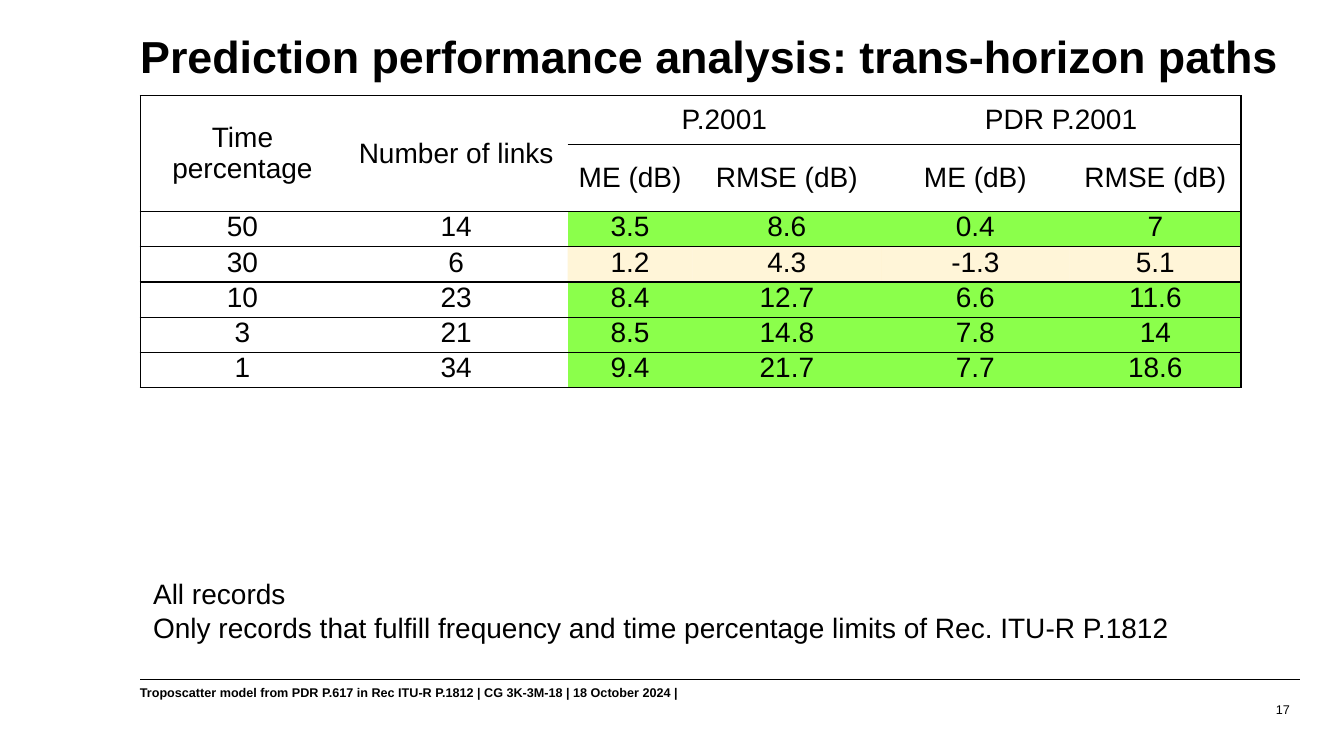
from pptx import Presentation
from pptx.dml.color import RGBColor
from pptx.enum.shapes import MSO_CONNECTOR as Conn
from pptx.enum.text import MSO_ANCHOR as Anchor, PP_ALIGN as Align
from pptx.oxml.ns import qn
from pptx.util import Inches, Pt
from lxml.etree import SubElement as Sub

INK, PAPER, GREEN, CREAM = "000000", "FFFFFF", "8BFF4B", "FFEBAB"
WIDTHS = [2.03, 2.21, 1.24, 1.87, 1.87, 1.7]
HEADS = [
    ["Time percentage", "Number of links", "P.2001", "", "PDR P.2001", ""],
    ["", "", "ME (dB)", "RMSE (dB)", "ME (dB)", "RMSE (dB)"],
]
DATA = [
    ["50", "14", "3.5", "8.6", "0.4", "7"],
    ["30", "6", "1.2", "4.3", "-1.3", "5.1"],
    ["10", "23", "8.4", "12.7", "6.6", "11.6"],
    ["3", "21", "8.5", "14.8", "7.8", "14"],
    ["1", "34", "9.4", "21.7", "7.7", "18.6"],
]
MERGES = [(0, 0, 1, 0), (0, 1, 1, 1), (0, 2, 0, 3), (0, 4, 0, 5)]


def paint(target, color):
    """Give a font, line or fill its colour."""
    target.rgb = RGBColor.from_string(color)


def write(para, text, size, bold=False):
    """Add one run to a paragraph."""
    run = para.add_run()
    run.text = text
    run.font.name, run.font.size, run.font.bold = "Arial", Pt(size), bold
    paint(run.font.color, INK)


def place(shape, box):
    """Move a shape to its box in inches."""
    shape.left, shape.top, shape.width, shape.height = map(Inches, box)


def label(slide, box, lines, size, bold=False, wrap=True,
          align=Align.LEFT, anchor=Anchor.TOP):
    """Place a text box with one paragraph per line."""
    frame = slide.shapes.add_textbox(*map(Inches, box)).text_frame
    frame.word_wrap, frame.vertical_anchor = wrap, anchor
    for i, text in enumerate(lines):
        para = frame.add_paragraph() if i else frame.paragraphs[0]
        para.alignment = align
        write(para, text, size, bold)


def title(slide, box, text):
    """Fill the title placeholder."""
    shape = slide.shapes.title
    place(shape, box)
    frame = shape.text_frame
    frame.word_wrap, frame.vertical_anchor = True, Anchor.TOP
    para = frame.paragraphs[0]
    para.alignment, para.line_spacing = Align.LEFT, 0.9
    write(para, text, 32, True)


def border(cell, edges):
    """Rule the named edges of a cell and clear the others."""
    props = cell._tc.get_or_add_tcPr()
    for edge in "LRTB":
        line = Sub(props, qn(f"a:ln{edge}"), w=str(Pt(1)))
        if edge in edges:
            fill = Sub(line, qn("a:solidFill"))
            Sub(fill, qn("a:srgbClr"), val=INK)
        else:
            Sub(line, qn("a:noFill"))


def shade(cell, color):
    """Fill a cell, with the cream partly clear."""
    cell.fill.solid()
    paint(cell.fill.fore_color, color)
    if color == CREAM:
        tone = cell._tc.tcPr.find(f".//{qn('a:solidFill')}/{qn('a:srgbClr')}[@val='{CREAM}']")
        Sub(tone, qn("a:alpha"), val="46000")


def results(slide, box):
    """Draw the table of mean and RMS errors."""
    rows = HEADS + DATA
    grid = slide.shapes.add_table(len(rows), len(WIDTHS), *map(Inches, box)).table
    grid.first_row = grid.horz_banding = False
    for col, width in zip(grid.columns, WIDTHS):
        col.width = Inches(width)
    for r, row in enumerate(rows):
        head = r < len(HEADS)
        grid.rows[r].height = Inches(0.48 if head else 0.35)
        for c, text in enumerate(row):
            cell = grid.cell(r, c)
            cell.margin_left = cell.margin_right = Inches(0.07)
            cell.margin_top = cell.margin_bottom = 0
            cell.vertical_anchor = Anchor.MIDDLE if head else Anchor.TOP
            edges = "B" if r == 1 and c < 2 else "TB"
            edges += {0: "L", len(row) - 1: "R"}.get(c, "")
            if r == 0 and c == 4:
                edges += "R"
            border(cell, edges)
            tint = CREAM if row[0] == "30" else GREEN
            shade(cell, PAPER if head or c < 2 else tint)
            if text:
                para = cell.text_frame.paragraphs[0]
                para.alignment = Align.CENTER
                para.space_before = para.space_after = Pt(4 if head else 2)
                write(para, text, 20)
    for top, left, low, right in MERGES:
        grid.cell(top, left).merge(grid.cell(low, right))


def footer(slide, box, text, number):
    """Draw the rule, the footer text and the page number."""
    x, y, w, h = box
    rule = slide.shapes.add_connector(
        Conn.STRAIGHT, *map(Inches, (x + 0.1, y, x + w, y)))
    rule.line.width = Pt(0.5)
    paint(rule.line.color, INK)
    Sub(rule._element.spPr, qn("a:effectLst"))
    label(slide, (x, y + 0.01, 7.53, 0.25), [text], 9, bold=True)
    label(slide, (x + w - 2.92, y + 0.02, 2.92, h - 0.02), [number], 9,
          align=Align.RIGHT, anchor=Anchor.BOTTOM)


def main():
    """Build the slide and save it."""
    deck = Presentation()
    deck.slide_width, deck.slide_height = Inches(13.33), Inches(7.5)
    slide = deck.slides.add_slide(deck.slide_layouts[5])
    title(slide, (1.29, 0.29, 11.6, 0.96),
          "Prediction performance analysis: trans-horizon paths")
    footer(slide, (1.29, 6.74, 11.6, 0.42),
           "Troposcatter model from PDR P.617 in Rec ITU-R P.1812 | CG 3K-3M-18 | 18 October 2024 |", "17")
    label(slide, (1.42, 5.67, 10.43, 0.77),
          ["All records",
           "Only records that fulfill frequency and time percentage limits of Rec. ITU-R P.1812"],
          20, wrap=False)
    results(slide, (1.39, 0.95, 10.92, 2.71))
    deck.save("out.pptx")


if __name__ == "__main__":
    main()
